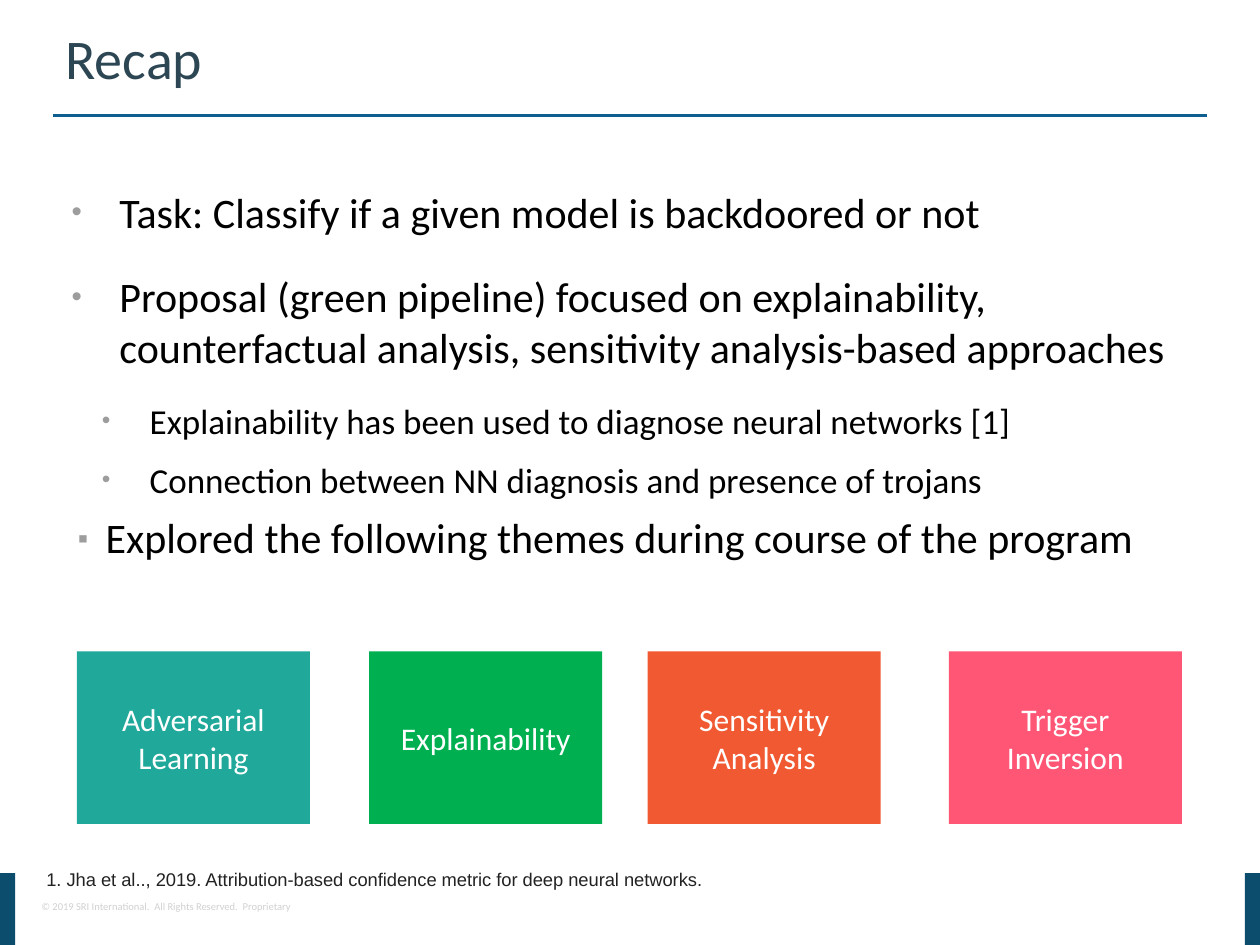
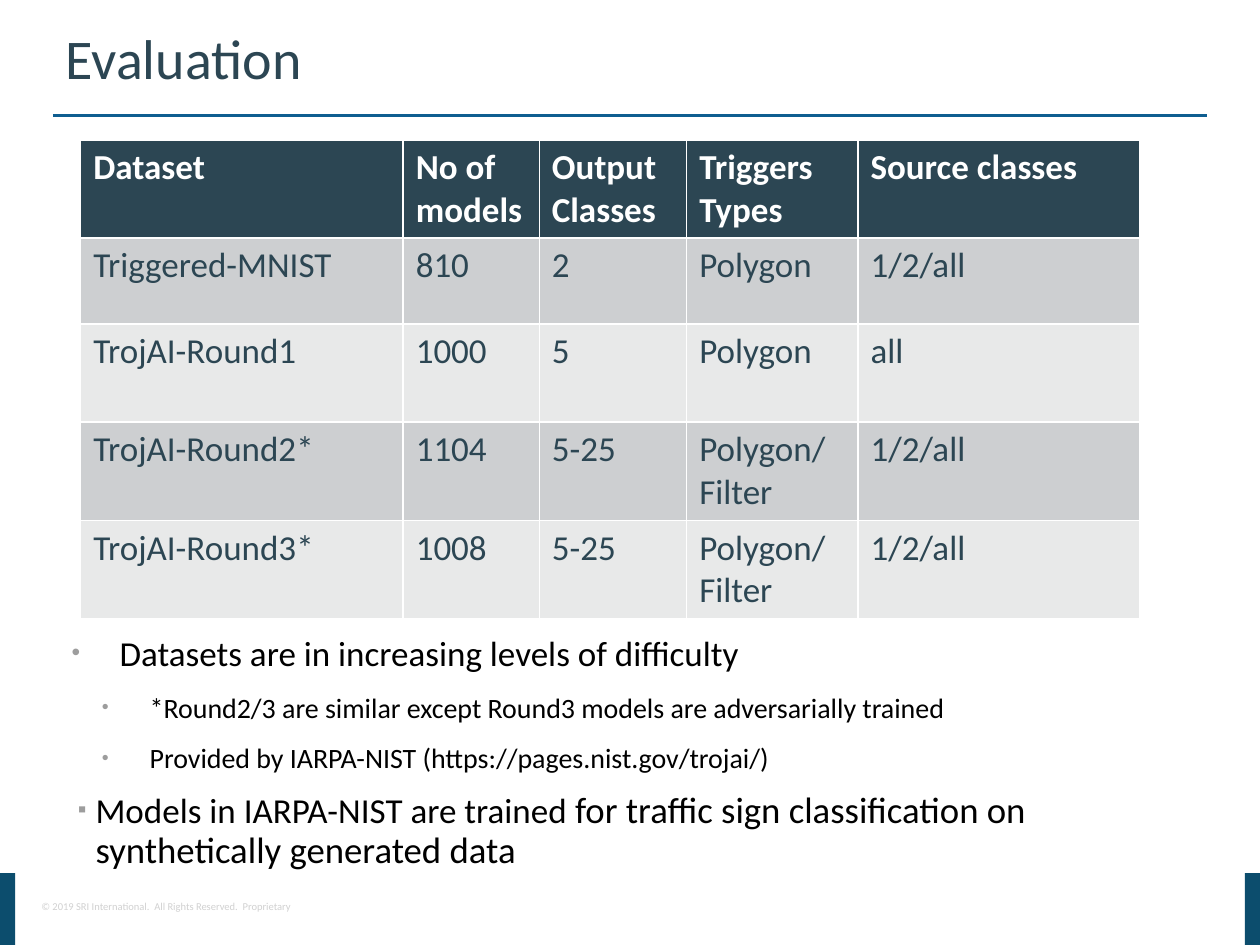
from lxml.etree import SubElement
from pptx import Presentation
from pptx.dml.color import RGBColor
from pptx.enum.shapes import MSO_CONNECTOR, MSO_SHAPE
from pptx.enum.text import MSO_ANCHOR, MSO_AUTO_SIZE, PP_ALIGN
from pptx.oxml.ns import qn
from pptx.util import Inches, Pt

SLATE, NAVY, RULE_BLUE = "2C4653", "0C4D6D", "0F5E90"
WHITE, BLACK, BULLET_GRAY, PALE_GRAY = "FFFFFF", "000000", "9D9D9D", "D1D1D1"
BAND_FILLS = ("CDCFD1", "E8E9E9")
COPYRIGHT = "© 2019 SRI International.  All Rights Reserved.  Proprietary"

POINT = dict(mark="•", left=0.42, hang=0.38, before=7.5, after=12)
SUBPOINT = dict(mark="•", left=0.66, hang=0.38, before=3.8, after=6)
SQUARE = dict(mark="▪", left=0.23, hang=0.14, before=3.8, after=0, spacing=0.9)

RECAP_POINTS = [
    (POINT, [("Task: Classify if a given model is backdoored or not", 24)]),
    (POINT, [("Proposal (green pipeline) focused on explainability, "
              "counterfactual analysis, sensitivity analysis-based approaches", 24)]),
    (SUBPOINT, [("Explainability has been used to diagnose neural networks [1]", 20)]),
    (SUBPOINT, [("Connection between NN diagnosis and presence of trojans", 20)]),
    (SQUARE | dict(left=0.31, hang=0.22),
     [("Explored the following themes during course of the program", 24)]),
]
THEMES = [
    ("Adversarial Learning", 0, "20A89A"),
    ("Explainability", 2.32, "00B050"),
    ("Sensitivity Analysis", 4.53, "F15932"),
    ("Trigger Inversion", 6.92, "FF5676"),
]
REFERENCE = ("1. Jha et al.., 2019. Attribution-based confidence metric "
             "for deep neural networks.")

DATASETS = [
    ("Dataset", "No of models", "Output Classes", "Triggers Types", "Source classes"),
    ("Triggered-MNIST", "810", "2", "Polygon", "1/2/all"),
    ("TrojAI-Round1", "1000", "5", "Polygon", "all"),
    ("TrojAI-Round2*", "1104", "5-25", "Polygon/\nFilter", "1/2/all"),
    ("TrojAI-Round3*", "1008", "5-25", "Polygon/\nFilter", "1/2/all"),
]
COLUMN_WIDTHS = (2.56, 1.08, 1.17, 1.36, 2.24)
ROW_HEIGHTS = (0.78, 0.68, 0.78, 0.78, 0.78)
EVALUATION_POINTS = [
    (POINT | dict(after=6), [("Datasets are in increasing levels of difficulty", 20)]),
    (SUBPOINT, [("*Round2/3 are similar except Round3 models are adversarially trained", 16)]),
    (SUBPOINT, [("Provided by IARPA-NIST (https://pages.nist.gov/trojai/)", 16)]),
    (SQUARE, [("Models in IARPA-NIST are trained ", 20),
              ("for traffic sign classification on synthetically generated data", 21)]),
]


def paint(target, color):
    """Give a fill or a line's fill one solid hex colour."""
    target.solid()
    target.fore_color.rgb = RGBColor.from_string(color)


def add_span(para, text, size=18, color=BLACK, font="Calibri", bold=False):
    """Append formatted text to a paragraph."""
    span = para.add_run()
    span.text = text
    span.font.size = Pt(size)
    span.font.name = font
    span.font.bold = bold
    span.font.color.rgb = RGBColor.from_string(color)


def write(frame, text, align=PP_ALIGN.LEFT, spacing=None, **style):
    """Fill a text frame with one paragraph for each line of text."""
    for index, line in enumerate(text.split("\n")):
        para = frame.add_paragraph() if index else frame.paragraphs[0]
        para.alignment = align
        para.line_spacing = spacing
        add_span(para, line, **style)


def add_text_box(page, box, wrap=True):
    """Add an empty text box and return its frame."""
    frame = page.shapes.add_textbox(*map(Inches, box)).text_frame
    frame.word_wrap = wrap
    return frame


def add_rectangle(page, box, color):
    """Add a plain filled rectangle."""
    shape = page.shapes.add_shape(MSO_SHAPE.RECTANGLE, *map(Inches, box))
    shape.shadow.inherit = False
    paint(shape.fill, color)
    shape.line.fill.background()
    return shape


def add_bullet(para, mark, left, hang):
    """Give a paragraph a gray bullet with a hanging indent."""
    properties = para._p.get_or_add_pPr()
    properties.set("marL", str(Inches(left)))
    properties.set("indent", str(-Inches(hang)))
    color = SubElement(properties, qn("a:buClr"))
    SubElement(color, qn("a:srgbClr"), val=BULLET_GRAY)
    SubElement(properties, qn("a:buSzPct"), val="70000")
    SubElement(properties, qn("a:buFont"), typeface="Arial")
    SubElement(properties, qn("a:buChar"), char=mark)


def add_points(page, box, points):
    """Add a bulleted list."""
    frame = add_text_box(page, box)
    for index, (level, spans) in enumerate(points):
        para = frame.add_paragraph() if index else frame.paragraphs[0]
        add_bullet(para, level["mark"], level["left"], level["hang"])
        para.space_before = Pt(level["before"] if index else 0)
        para.space_after = Pt(level["after"])
        para.line_spacing = level.get("spacing")
        for text, size in spans:
            add_span(para, text, size=size)


def add_page(deck, title):
    """Add a titled page with its rule, corner bands and copyright line."""
    page = deck.slides.add_slide(deck.slide_layouts[5])
    for left in (0, 9.88):
        add_rectangle(page, (left, 6.93, 0.12, 0.57), NAVY)
    write(add_text_box(page, (0.23, 7.09, 2.21, 0.2), wrap=False), COPYRIGHT,
          size=6, color=PALE_GRAY)
    rule = page.shapes.add_connector(
        MSO_CONNECTOR.STRAIGHT, *map(Inches, (0.42, 0.92, 9.58, 0.92)))
    paint(rule.line.fill, RULE_BLUE)
    rule.line.width = Pt(1.75)
    SubElement(rule._element.spPr, qn("a:effectLst"))

    heading = page.shapes.title
    heading.left, heading.top, heading.width, heading.height = map(
        Inches, (0.42, 0.15, 7.81, 0.67))
    heading.text_frame.auto_size = MSO_AUTO_SIZE.NONE
    heading.text_frame.vertical_anchor = MSO_ANCHOR.MIDDLE
    write(heading.text_frame, title, spacing=0.9, size=32, color=SLATE)
    return page


def add_themes(page, box):
    """Add the row of theme tiles."""
    left, top, width, height = box
    for name, offset, color in THEMES:
        tile = add_rectangle(page, (left + offset, top, width, height), color)
        tile.text_frame.word_wrap = True
        tile.text_frame.vertical_anchor = MSO_ANCHOR.MIDDLE
        write(tile.text_frame, name, align=PP_ALIGN.CENTER, color=WHITE)


def add_dataset_table(page, left, top):
    """Add the dataset table with a dark header and banded rows."""
    table = page.shapes.add_table(
        len(DATASETS), len(COLUMN_WIDTHS), Inches(left), Inches(top),
        Inches(sum(COLUMN_WIDTHS)), Inches(sum(ROW_HEIGHTS))).table
    for column, width in zip(table.columns, COLUMN_WIDTHS):
        column.width = Inches(width)
    for index, (row, height) in enumerate(zip(table.rows, ROW_HEIGHTS)):
        row.height = Inches(height)
        header = index == 0
        for cell, text in zip(row.cells, DATASETS[index]):
            paint(cell.fill, SLATE if header else BAND_FILLS[(index - 1) % 2])
            write(cell.text_frame, text, size=20, bold=header,
                  color=WHITE if header else SLATE)


def build_recap(deck):
    """Build the recap page."""
    page = add_page(deck, "Recap")
    add_points(page, (0.43, 1.43, 9.27, 5.24), RECAP_POINTS)
    write(add_text_box(page, (0.27, 6.84, 9.03, 0.28)), REFERENCE,
          size=10.5, color="222222", font="Arial")
    add_themes(page, (0.61, 5.17, 1.85, 1.37))


def build_evaluation(deck):
    """Build the evaluation page."""
    page = add_page(deck, "Evaluation")
    add_points(page, (0.43, 4.96, 9.29, 2.06), EVALUATION_POINTS)
    add_dataset_table(page, 0.64, 1.11)


def main():
    """Build and save the deck."""
    deck = Presentation()
    deck.slide_width, deck.slide_height = Inches(10), Inches(7.5)
    build_recap(deck)
    build_evaluation(deck)
    deck.save("out.pptx")


if __name__ == "__main__":
    main()
